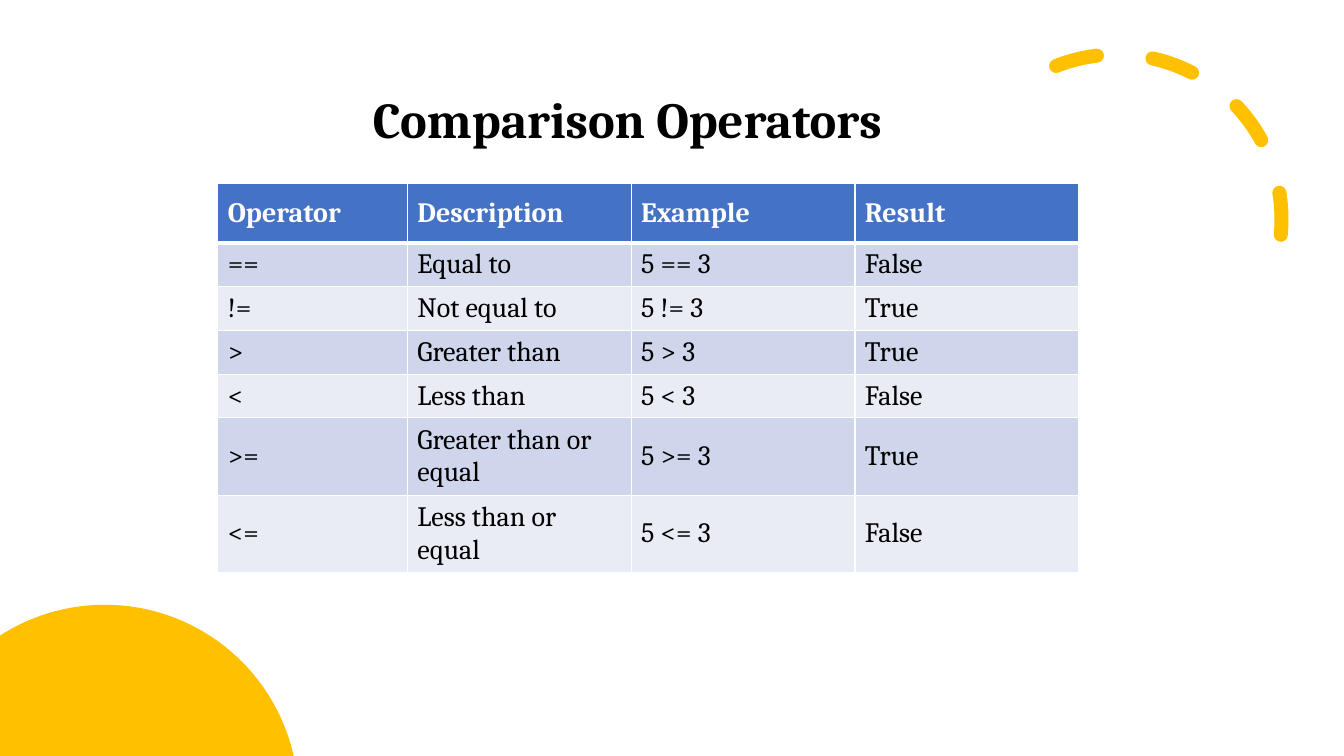
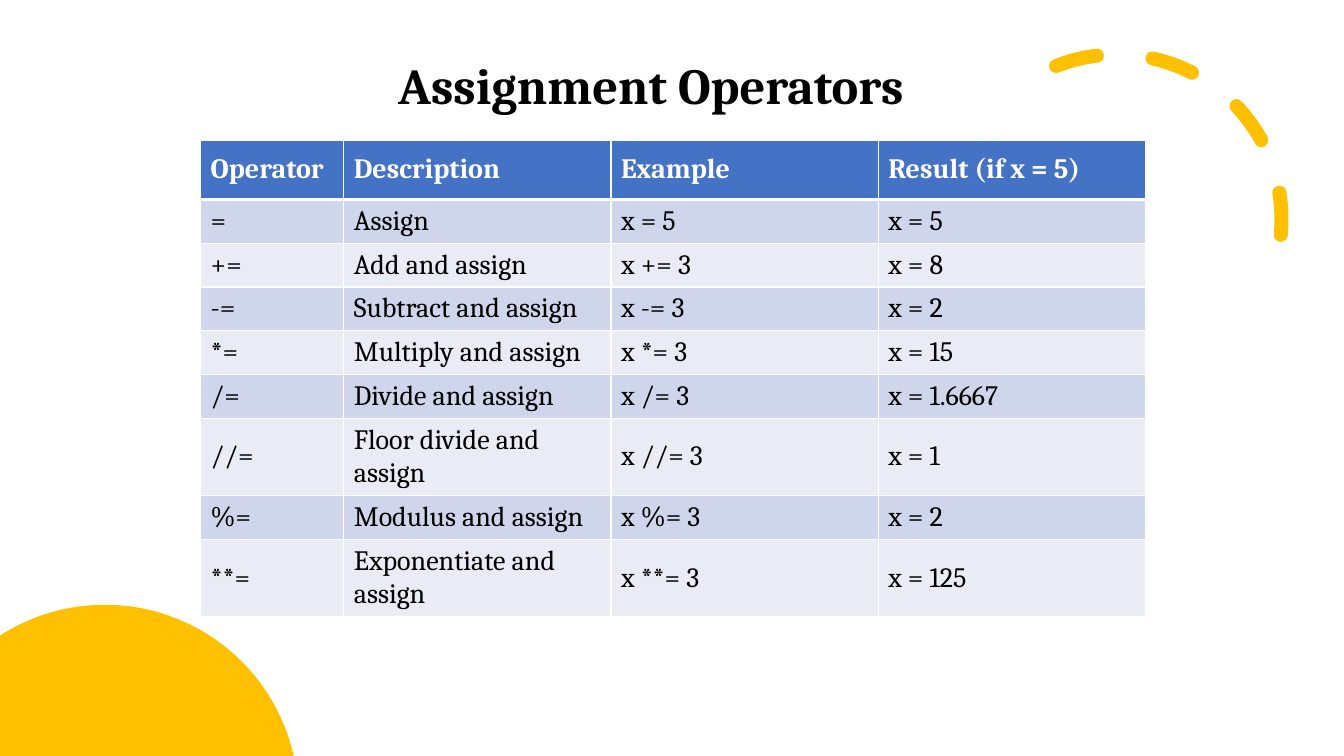
from math import acos, asin, cos, pi, sin
from lxml.etree import SubElement
from pptx import Presentation
from pptx.dml.color import RGBColor
from pptx.enum.dml import MSO_LINE as Dash
from pptx.enum.shapes import MSO_SHAPE as Shape
from pptx.enum.text import MSO_ANCHOR as Anchor, MSO_AUTO_SIZE as Auto
from pptx.oxml.ns import qn
from pptx.util import Pt

PX = 9144
WIDE, HIGH = 1333, 750
FONT = "Cambria"
GOLD, BLUE, WHITE, BLACK = "FFC000", "4472C4", "FFFFFF", "000000"
BANDS = ["CFD5EA", "E9EBF5"]
HEAD, ROW = 59, 41
SUN_X, SUN_Y, SUN_R = 104, 792, 192
STEPS = 60


def color(code):
    return RGBColor.from_string(code)


def write(frame, text, size, code, bold):
    frame.vertical_anchor = Anchor.MIDDLE
    run = frame.paragraphs[0].add_run()
    run.text = text
    font = run.font
    font.name, font.size, font.bold = FONT, Pt(size), bold
    font.color.rgb = color(code)


pages = [
    {
        "title": "Comparison Operators",
        "box": (360, 82, 547, 71),
        "spot": (216, 182),
        "cols": [188, 222, 222, 222],
        "rows": [
            ("Operator", "Description", "Example", "Result"),
            ("==", "Equal to", "5 == 3", "False"),
            ("!=", "Not equal to", "5 != 3", "True"),
            (">", "Greater than", "5 > 3", "True"),
            ("<", "Less than", "5 < 3", "False"),
            (">=", "Greater than or equal", "5 >= 3", "True"),
            ("<=", "Less than or equal", "5 <= 3", "False"),
        ],
    },
    {
        "title": "Assignment Operators",
        "box": (385, 48, 538, 71),
        "spot": (199, 139),
        "cols": [142, 265, 265, 265],
        "rows": [
            ("Operator", "Description", "Example", "Result (if x = 5)"),
            ("=", "Assign", "x = 5", "x = 5"),
            ("+=", "Add and assign", "x += 3", "x = 8"),
            ("-=", "Subtract and assign", "x -= 3", "x = 2"),
            ("*=", "Multiply and assign", "x *= 3", "x = 15"),
            ("/=", "Divide and assign", "x /= 3", "x = 1.6667"),
            ("//=", "Floor divide and assign", "x //= 3", "x = 1"),
            ("%=", "Modulus and assign", "x %= 3", "x = 2"),
            ("**=", "Exponentiate and assign", "x **= 3", "x = 125"),
        ],
    },
]

first = pi - acos(SUN_X / SUN_R)
last = asin((SUN_Y - HIGH) / SUN_R)
turns = [first + (last - first) * i / STEPS for i in range(STEPS + 1)]
rim = [((SUN_X + SUN_R * cos(t)) * PX, (SUN_Y - SUN_R * sin(t)) * PX) for t in turns]

deck = Presentation()
deck.slide_width, deck.slide_height = WIDE * PX, HIGH * PX

for page in pages:
    slide = deck.slides.add_slide(deck.slide_layouts[6])
    shapes = slide.shapes

    arc = shapes.add_shape(Shape.ARC, 944 * PX, 54 * PX, 327 * PX, 327 * PX)
    arc.shadow.inherit = False
    arc.adjustments[0] = 144.42
    arc.rotation = 66.1
    arc.fill.background()
    arc.line.color.rgb = color(GOLD)
    arc.line.width = Pt(10)
    arc.line.dash_style = Dash.DASH
    arc.line._get_or_add_ln().set("cap", "rnd")
    arc._element.spPr.find(qn("a:xfrm")).set("flipH", "1")

    pen = shapes.build_freeform(0, HIGH * PX)
    pen.add_line_segments(rim, close=True)
    sun = pen.convert_to_shape()
    sun.shadow.inherit = False
    sun.fill.solid()
    sun.fill.fore_color.rgb = color(GOLD)
    sun.line.fill.background()

    frame = shapes.add_textbox(*[n * PX for n in page["box"]]).text_frame
    frame.word_wrap = False
    frame.auto_size = Auto.SHAPE_TO_FIT_TEXT
    write(frame, page["title"], 36, BLACK, True)

    rows, cols = page["rows"], page["cols"]
    left, top = page["spot"]
    tall = HEAD + ROW * (len(rows) - 1)
    table = shapes.add_table(
        len(rows), len(cols), left * PX, top * PX, sum(cols) * PX, tall * PX
    ).table
    for c, width in enumerate(cols):
        table.columns[c].width = width * PX
    for r, row in enumerate(rows):
        head = r == 0
        table.rows[r].height = (HEAD if head else ROW) * PX
        for c, text in enumerate(row):
            cell = table.cell(r, c)
            cell.vertical_anchor = Anchor.MIDDLE
            props = cell._tc.get_or_add_tcPr()
            for side in "LRTB":
                thick = (head and side == "B") or (r == 1 and side == "T")
                edge = SubElement(props, qn("a:ln" + side), w=str(Pt(3 if thick else 1)))
                paint = SubElement(edge, qn("a:solidFill"))
                SubElement(paint, qn("a:srgbClr"), val=WHITE)
            cell.fill.solid()
            cell.fill.fore_color.rgb = color(BLUE if head else BANDS[(r - 1) % 2])
            write(cell.text_frame, text, 20, WHITE if head else BLACK, head)

deck.save("out.pptx")
